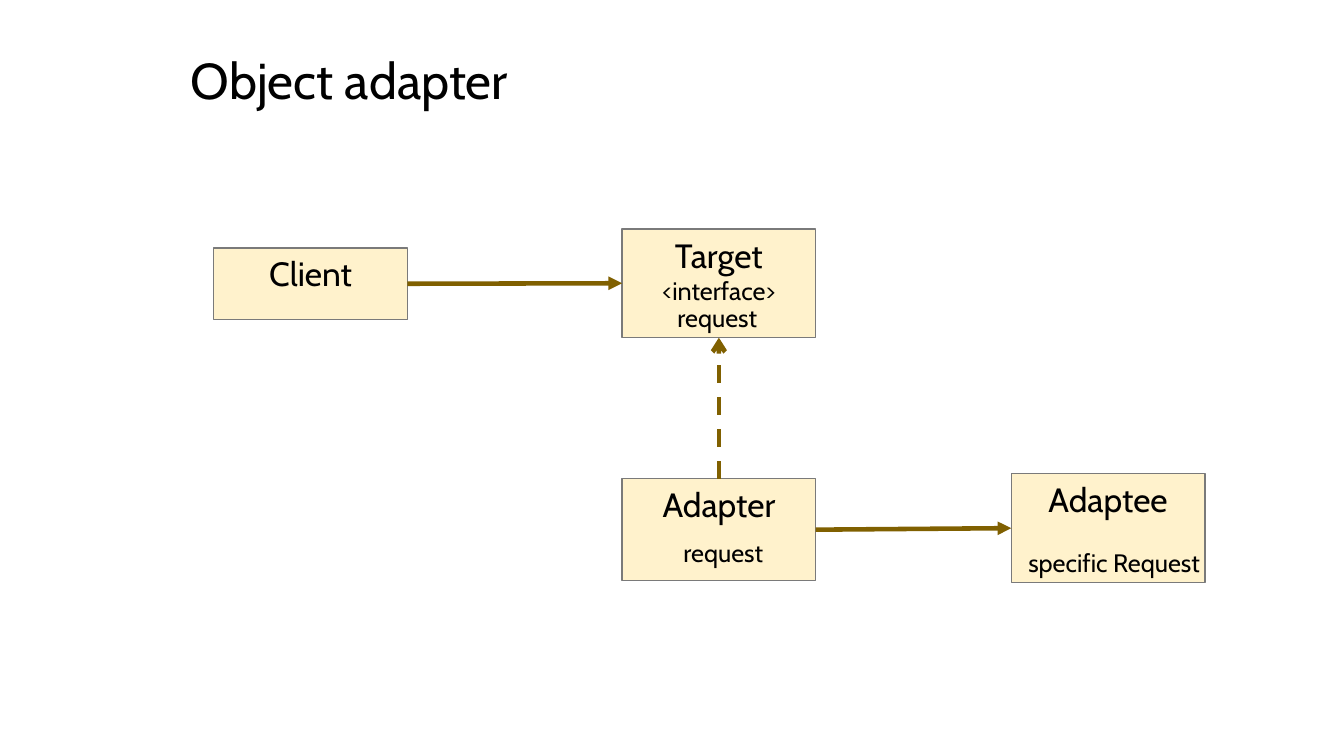
"""Build the object adapter class diagram slide."""
from dataclasses import dataclass

from lxml import etree
from pptx import Presentation
from pptx.dml.color import RGBColor
from pptx.enum.dml import MSO_LINE
from pptx.enum.shapes import MSO_CONNECTOR, MSO_SHAPE
from pptx.enum.text import MSO_ANCHOR, MSO_AUTO_SIZE, PP_ALIGN
from pptx.oxml.ns import qn
from pptx.shapes.autoshape import Shape
from pptx.shapes.group import GroupShape
from pptx.slide import Slide
from pptx.text.text import TextFrame
from pptx.util import Emu, Pt

PX = 9144
FONT = "Cabin"
BLACK = RGBColor(0x00, 0x00, 0x00)
CREAM = RGBColor(0xFF, 0xF2, 0xCC)
GRAY = RGBColor(0x7A, 0x7A, 0x7A)
BROWN = RGBColor(0x80, 0x60, 0x00)
RECTANGLE = MSO_SHAPE.RECTANGLE
STRAIGHT = MSO_CONNECTOR.STRAIGHT
DASH = MSO_LINE.DASH
CENTER = PP_ALIGN.CENTER
LEFT = PP_ALIGN.LEFT
TOP_ANCHOR = MSO_ANCHOR.TOP
BOTTOM_ANCHOR = MSO_ANCHOR.BOTTOM
GROW = MSO_AUTO_SIZE.SHAPE_TO_FIT_TEXT
NO_FIT = MSO_AUTO_SIZE.NONE
TOP, LEFT_SIDE, BOTTOM, RIGHT_SIDE = range(4)
CLASS_WIDTH = 192
NAME_SIZE, MEMBER_SIZE, TITLE_SIZE = 24, 18, 36


@dataclass(frozen=True)
class Method:
    text: str
    left: int
    top: int
    height: int


@dataclass(frozen=True)
class ClassBox:
    name: str
    left: int
    top: int
    height: int
    name_top: int
    name_height: int
    stereotype: str = ""
    method: Method | None = None


@dataclass(frozen=True)
class Relation:
    source: str
    source_side: int
    target: str
    target_side: int
    arrowhead: str = "triangle"
    dashed: bool = False


CLASSES = (
    ClassBox("Client", 212, 246, 71, 246, 27),
    ClassBox("Target", 617, 227, 108, 228, 81, "<interface>",
             Method("request", 662, 295, 33)),
    ClassBox("Adaptee", 1003, 470, 108, 470, 50,
             method=Method("specific Request", 1010, 538, 33)),
    ClassBox("Adapter", 617, 475, 101, 475, 50,
             method=Method("request", 668, 528, 31)),
)
RELATIONS = (
    Relation("Client", RIGHT_SIDE, "Target", LEFT_SIDE),
    Relation("Adapter", RIGHT_SIDE, "Adaptee", LEFT_SIDE),
    Relation("Adapter", TOP, "Target", BOTTOM, "arrow", True),
)


def px(*lengths: int) -> list[Emu]:
    return [Emu(length * PX) for length in lengths]


def write_lines(frame: TextFrame, lines: list[tuple[str, int]],
                alignment: PP_ALIGN) -> None:
    for index, (text, size) in enumerate(lines):
        paragraph = frame.add_paragraph() if index else frame.paragraphs[0]
        paragraph.alignment = alignment
        run = paragraph.add_run()
        run.text = text
        run.font.name = FONT
        run.font.size = Pt(size)
        run.font.color.rgb = BLACK


def add_label(group: GroupShape, left: int, top: int, height: int,
              lines: list[tuple[str, int]], alignment: PP_ALIGN) -> None:
    label = group.shapes.add_textbox(*px(left, top, CLASS_WIDTH, height))
    frame = label.text_frame
    frame.word_wrap = True
    frame.auto_size = GROW
    frame.vertical_anchor = TOP_ANCHOR
    write_lines(frame, lines, alignment)


def add_class(slide: Slide, item: ClassBox) -> Shape:
    group = slide.shapes.add_group_shape()
    body = group.shapes.add_shape(
        RECTANGLE, *px(item.left, item.top, CLASS_WIDTH, item.height))
    body.shadow.inherit = False
    body.fill.solid()
    body.fill.fore_color.rgb = CREAM
    body.line.color.rgb = GRAY
    body.line.width = Pt(1)
    heading = [(item.name, NAME_SIZE)]
    if item.stereotype:
        heading.append((item.stereotype, MEMBER_SIZE))
    add_label(group, item.left, item.name_top, item.name_height, heading, CENTER)
    if item.method:
        method = item.method
        add_label(group, method.left, method.top, method.height,
                  [(method.text, MEMBER_SIZE)], LEFT)
    return body


def add_relation(slide: Slide, relation: Relation,
                 bodies: dict[str, Shape]) -> None:
    arrow = slide.shapes.add_connector(STRAIGHT, *px(0, 0, 0, 0))
    arrow.begin_connect(bodies[relation.source], relation.source_side)
    arrow.end_connect(bodies[relation.target], relation.target_side)
    arrow.line.color.rgb = BROWN
    arrow.line.width = Pt(3.25)
    if relation.dashed:
        arrow.line.dash_style = DASH
    properties = arrow._element.spPr
    outline = properties.find(qn("a:ln"))
    etree.SubElement(outline, qn("a:tailEnd"), type=relation.arrowhead)
    etree.SubElement(properties, qn("a:effectLst"))


def add_title(slide: Slide) -> None:
    title = slide.shapes.title
    title.left, title.top, title.width, title.height = px(167, 47, 359, 68)
    frame = title.text_frame
    frame.word_wrap = True
    frame.auto_size = NO_FIT
    frame.vertical_anchor = BOTTOM_ANCHOR
    write_lines(frame, [("Object adapter", TITLE_SIZE)], CENTER)
    frame.paragraphs[0].line_spacing = 0.9


def main() -> None:
    deck = Presentation()
    deck.slide_width, deck.slide_height = px(1333, 750)
    slide = deck.slides.add_slide(deck.slide_layouts.get_by_name("Title Only"))
    add_title(slide)
    bodies = {item.name: add_class(slide, item) for item in CLASSES}
    for relation in RELATIONS:
        add_relation(slide, relation, bodies)
    deck.save("out.pptx")


if __name__ == "__main__":
    main()
